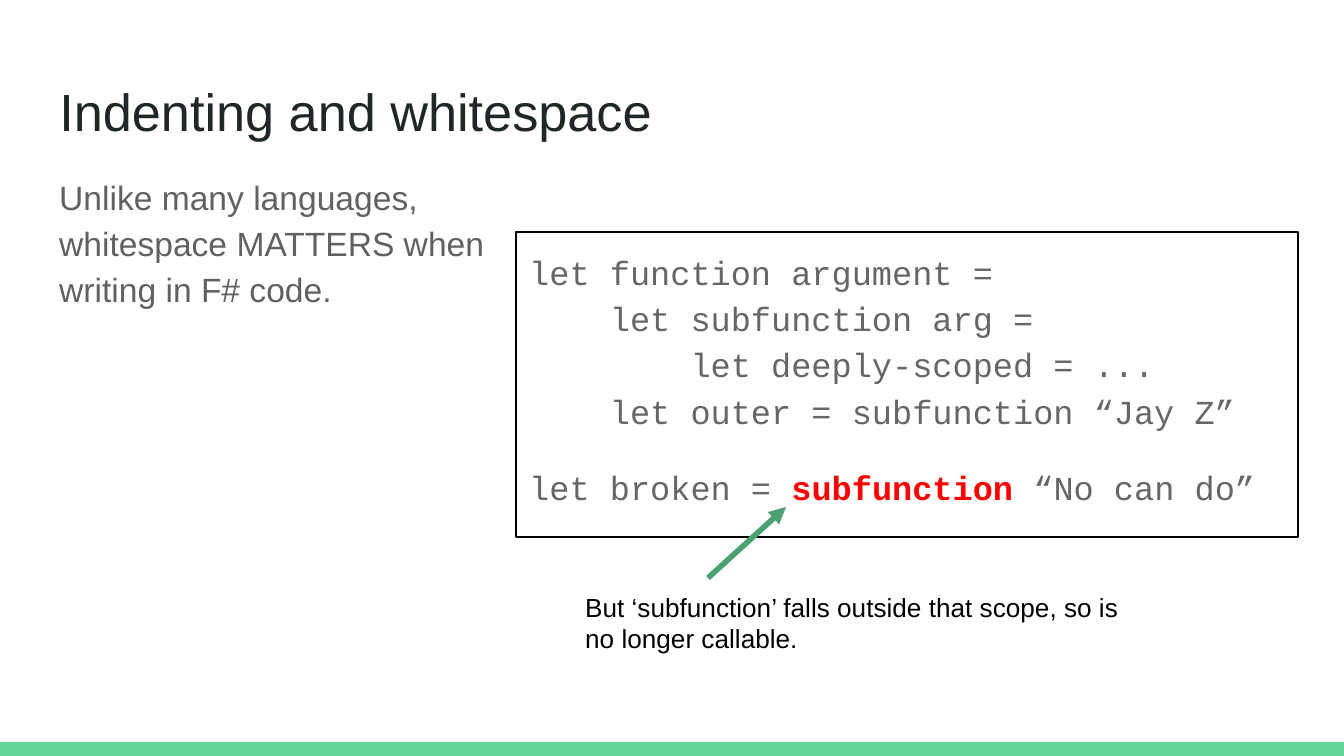
from lxml import etree
from pptx import Presentation
from pptx import util as u
from pptx.dml.color import RGBColor
from pptx.enum import shapes, text
from pptx.oxml import ns

SCALE = 9144000 / 1344
GREY = "666666"
CODE = """let function argument = 
    let subfunction arg =
        let deeply-scoped = ...
    let outer = subfunction “Jay Z”"""


def px(n):
    return u.Emu(round(n * SCALE))


def color(code):
    return RGBColor.from_string(code)


def place(shape, *box):
    for name, n in zip(("left", "top", "width", "height"), box):
        setattr(shape, name, px(n))


def write(shape, paras, size, font="Arial", gaps=None):
    """Fill a shape with paragraphs, each a list of (words, colour, bold)."""
    frame = shape.text_frame
    look = {"word_wrap": True, "auto_size": text.MSO_AUTO_SIZE.NONE,
            "vertical_anchor": text.MSO_ANCHOR.TOP}
    look.update({f"margin_{side}": u.Inches(0.1)
                 for side in ("left", "top", "right", "bottom")})
    for name, value in look.items():
        setattr(frame, name, value)
    for i, runs in enumerate(paras):
        para = frame.add_paragraph() if i else frame.paragraphs[0]
        for name, value in {"alignment": text.PP_ALIGN.LEFT, **(gaps or {})}.items():
            setattr(para, name, value)
        for words, code, bold in runs:
            for j, line in enumerate(words.split("\n")):
                if j:
                    para.add_line_break()
                run = para.add_run()
                run.text = line
                for name, value in {"name": font, "size": u.Pt(size), "bold": bold}.items():
                    setattr(run.font, name, value)
                run.font.color.rgb = color(code)


def add_box(slide, box, fill=None, line=None):
    shape = slide.shapes.add_shape(shapes.MSO_SHAPE.RECTANGLE, *map(px, box))
    shape.shadow.inherit = False
    if fill:
        shape.fill.solid()
        shape.fill.fore_color.rgb = color(fill)
    else:
        shape.fill.background()
    if line:
        shape.line.color.rgb = color(line)
        shape.line.width = u.Pt(0.75)
    else:
        shape.line.fill.background()
    return shape


def add_note(slide, box, words, size, code, gaps=None):
    note = slide.shapes.add_textbox(*map(px, box))
    write(note, [[(words, code, False)]], size, gaps=gaps)


def add_arrow(slide, start, end, code):
    arrow = slide.shapes.add_connector(
        shapes.MSO_CONNECTOR.STRAIGHT, *map(px, start + end))
    arrow.line.color.rgb = color(code)
    arrow.line.width = u.Pt(3)
    etree.SubElement(arrow.line._get_or_add_ln(), ns.qn("a:tailEnd"), type="triangle")
    etree.SubElement(arrow._element.spPr, ns.qn("a:effectLst"))


def main():
    deck = Presentation()
    deck.slide_width, deck.slide_height = px(1344), px(756)
    slide = deck.slides.add_slide(deck.slide_layouts[5])
    gaps = {"line_spacing": 1.15, "space_after": u.Pt(16)}

    add_box(slide, (0, 742, 1344, 14), fill="63D297")
    title = slide.shapes.title
    place(title, 46, 66, 1252, 85)
    write(title, [[("Indenting and whitespace", "202729", False)]], 28)

    code = add_box(slide, (516, 232, 782, 305), line="000000")
    call = [("let broken = ", GREY, False), ("subfunction ", "FF0000", True),
            ("“No can do”", GREY, False)]
    write(code, [[(CODE, GREY, False)], call], 18, "Courier New", gaps)

    add_note(slide, (46, 157, 509, 503),
             "Unlike many languages, whitespace MATTERS when writing in F# code.",
             18, "616161", gaps)
    add_arrow(slide, (708, 578), (786, 507), "4BA173")
    add_note(slide, (572, 578, 585, 116),
             "But ‘subfunction’ falls outside that scope, so is no longer callable.",
             14, "000000")
    deck.save("out.pptx")


if __name__ == "__main__":
    main()
